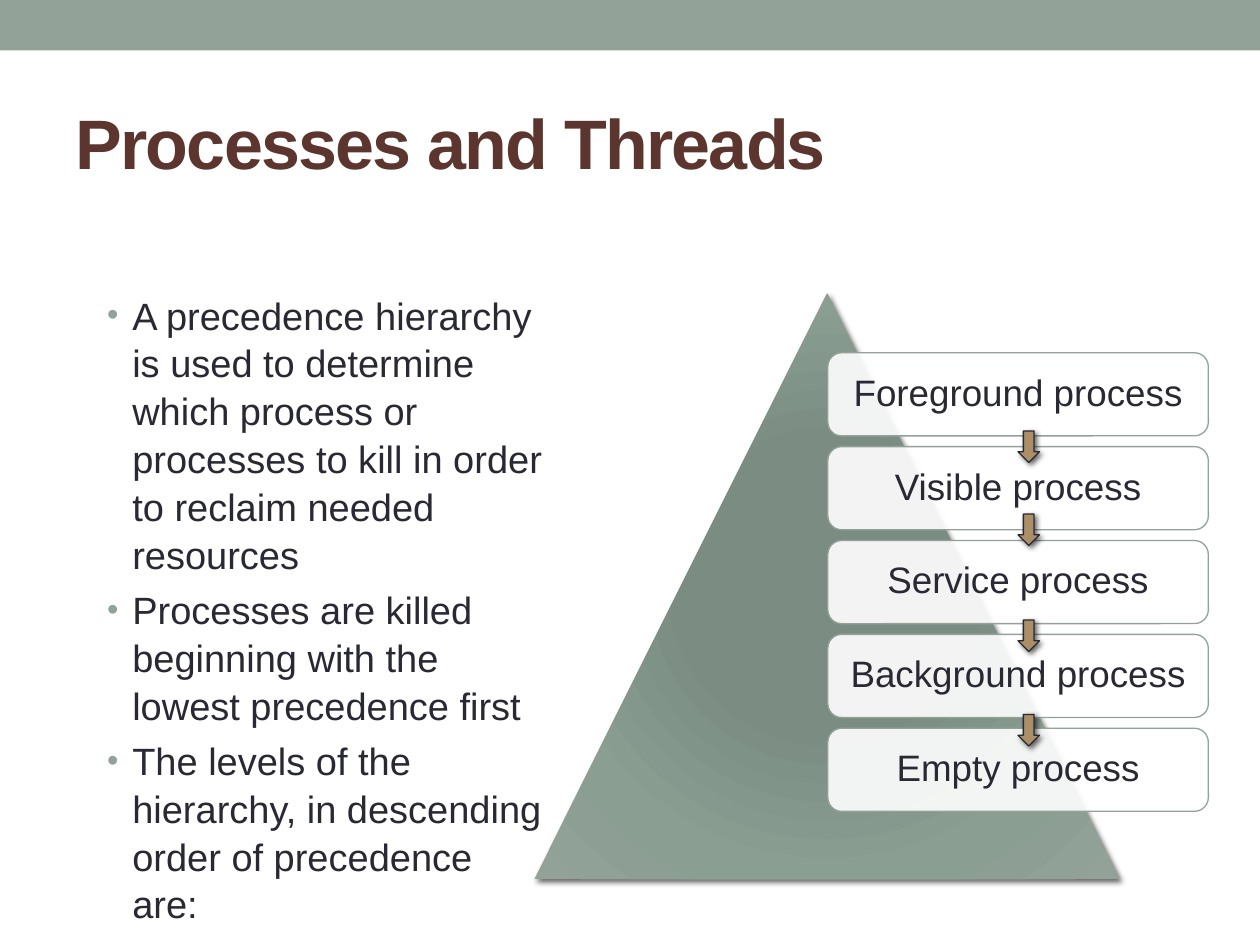
from dataclasses import dataclass

from lxml.etree import SubElement
from pptx import Presentation
from pptx.dml.color import RGBColor
from pptx.enum.shapes import MSO_SHAPE
from pptx.enum.text import MSO_ANCHOR, MSO_AUTO_SIZE, PP_ALIGN
from pptx.oxml import parse_xml
from pptx.oxml.ns import nsdecls, qn
from pptx.util import Inches, Pt

COLORS = {
    "sage": "93A299",
    "title": "5B352E",
    "text": "292934",
    "white": "FFFFFF",
    "arrow": "AD8F67",
    "shadow": "000000",
}
PYRAMID_STOPS = ((0, "7B8E82"), (34, "7B8D83"), (70, "8A9E92"), (100, COLORS["sage"]))
FONT = "Arial"


@dataclass
class Box:
    left: float
    top: float
    width: float
    height: float


@dataclass
class Level:
    label: str
    box: Box


def rgb(name: str) -> RGBColor:
    return RGBColor.from_string(COLORS[name])


def place(shape, box: Box) -> None:
    shape.left, shape.top = Inches(box.left), Inches(box.top)
    shape.width, shape.height = Inches(box.width), Inches(box.height)


def style_runs(paragraph, size: float, color: str, bold: bool = False) -> None:
    for run in paragraph.runs:
        run.font.name = FONT
        run.font.size = Pt(size)
        run.font.bold = bold
        run.font.color.rgb = rgb(color)


def add_figure(slide, kind, box: Box, fill: str, line: str | None = None):
    figure = slide.shapes.add_shape(
        kind, Inches(box.left), Inches(box.top), Inches(box.width), Inches(box.height))
    figure.shadow.inherit = False
    figure.fill.solid()
    figure.fill.fore_color.rgb = rgb(fill)
    if line:
        figure.line.color.rgb = rgb(line)
        figure.line.width = Pt(0.75)
    else:
        figure.line.fill.background()
    return figure


def add_shadow(figure) -> None:
    effects = figure._element.spPr.find(qn("a:effectLst"))
    shadow = SubElement(effects, qn("a:outerShdw"), blurRad=str(Pt(3)), dist=str(Pt(2)),
                        dir="2700000", algn="tl", rotWithShape="0")
    color = SubElement(shadow, qn("a:srgbClr"), val=COLORS["shadow"])
    SubElement(color, qn("a:alpha"), val="60000")


def set_radial_fill(figure, stops) -> None:
    stop_xml = "".join(
        f'<a:gs pos="{position * 1000}"><a:srgbClr val="{color}"/></a:gs>'
        for position, color in stops)
    gradient = parse_xml(
        f'<a:gradFill {nsdecls("a")} rotWithShape="1"><a:gsLst>{stop_xml}</a:gsLst>'
        '<a:path path="circle"><a:fillToRect l="100000" t="100000" r="100000" b="100000"/>'
        '</a:path></a:gradFill>')
    properties = figure._element.spPr
    properties.replace(properties.find(qn("a:solidFill")), gradient)


def add_bullet(paragraph) -> None:
    properties = paragraph._p.get_or_add_pPr()
    properties.set("marL", str(Inches(0.2)))
    properties.set("indent", str(Inches(-0.2)))
    bullet_color = SubElement(properties, qn("a:buClr"))
    SubElement(bullet_color, qn("a:srgbClr"), val=COLORS["sage"])
    SubElement(properties, qn("a:buSzPct"), val="85000")
    SubElement(properties, qn("a:buFont"), typeface=FONT)
    SubElement(properties, qn("a:buChar"), char="•")


def add_level(slide, level: Level) -> None:
    card = add_figure(slide, MSO_SHAPE.ROUNDED_RECTANGLE, level.box, "white", "sage")
    fill_color = card._element.spPr.find(qn("a:solidFill"))[0]
    SubElement(fill_color, qn("a:alpha"), val="90000")
    frame = card.text_frame
    frame.text = level.label
    frame.word_wrap = True
    frame.vertical_anchor = MSO_ANCHOR.MIDDLE
    frame.margin_left = frame.margin_right = Inches(0.12)
    label = frame.paragraphs[0]
    label.alignment = PP_ALIGN.CENTER
    label.line_spacing = 0.9
    style_runs(label, 21, "text")


def main() -> None:
    presentation = Presentation()
    presentation.slide_width, presentation.slide_height = Inches(10), Inches(7.5)
    slide = presentation.slides.add_slide(presentation.slide_layouts[1])

    # Top band
    add_figure(slide, MSO_SHAPE.RECTANGLE, Box(0, 0, 10, 0.4), "sage")

    # Title
    title = slide.shapes.title
    place(title, Box(0.5, 0.58, 9, 1.08))
    title.text_frame.text = "Processes and Threads"
    title.text_frame.auto_size = MSO_AUTO_SIZE.NONE
    title.text_frame.vertical_anchor = MSO_ANCHOR.MIDDLE
    heading = title.text_frame.paragraphs[0]
    heading.alignment = PP_ALIGN.LEFT
    style_runs(heading, 40, "title", bold=True)
    heading.runs[0].font._element.set("spc", "-100")

    # Explanation
    explanation = slide.placeholders[1]
    place(explanation, Box(0.75, 2.25, 3.67, 4.75))
    explanation.text_frame.text = "\n".join((
        "A precedence hierarchy is used to determine which process or processes "
        "to kill in order to reclaim needed resources",
        "Processes are killed beginning with the lowest precedence first",
        "The levels of the hierarchy, in descending order of precedence are:",
    ))
    explanation.text_frame.auto_size = MSO_AUTO_SIZE.NONE
    for point in explanation.text_frame.paragraphs:
        point.line_spacing = 1.05
        point.space_before = Pt(4.3)
        add_bullet(point)
        style_runs(point, 21.7, "text")

    # Pyramid
    pyramid = add_figure(slide, MSO_SHAPE.ISOSCELES_TRIANGLE,
                         Box(4.24, 2.33, 4.65, 4.65), "sage")
    set_radial_fill(pyramid, PYRAMID_STOPS)
    add_shadow(pyramid)

    # Precedence levels, evenly spaced
    labels = ("Foreground process", "Visible process", "Service process",
              "Background process", "Empty process")
    first_top, last_top = 2.8, 5.78
    pitch = (last_top - first_top) / (len(labels) - 1)
    for index, label in enumerate(labels):
        add_level(slide, Level(label, Box(6.57, first_top + index * pitch, 3.02, 0.66)))

    # Arrows from each level to the next
    for arrow_top in (3.42, 4.08, 4.92, 5.67):
        arrow = add_figure(slide, MSO_SHAPE.DOWN_ARROW,
                           Box(8.08, arrow_top, 0.17, 0.25), "arrow", "text")
        add_shadow(arrow)

    presentation.save("out.pptx")


if __name__ == "__main__":
    main()
